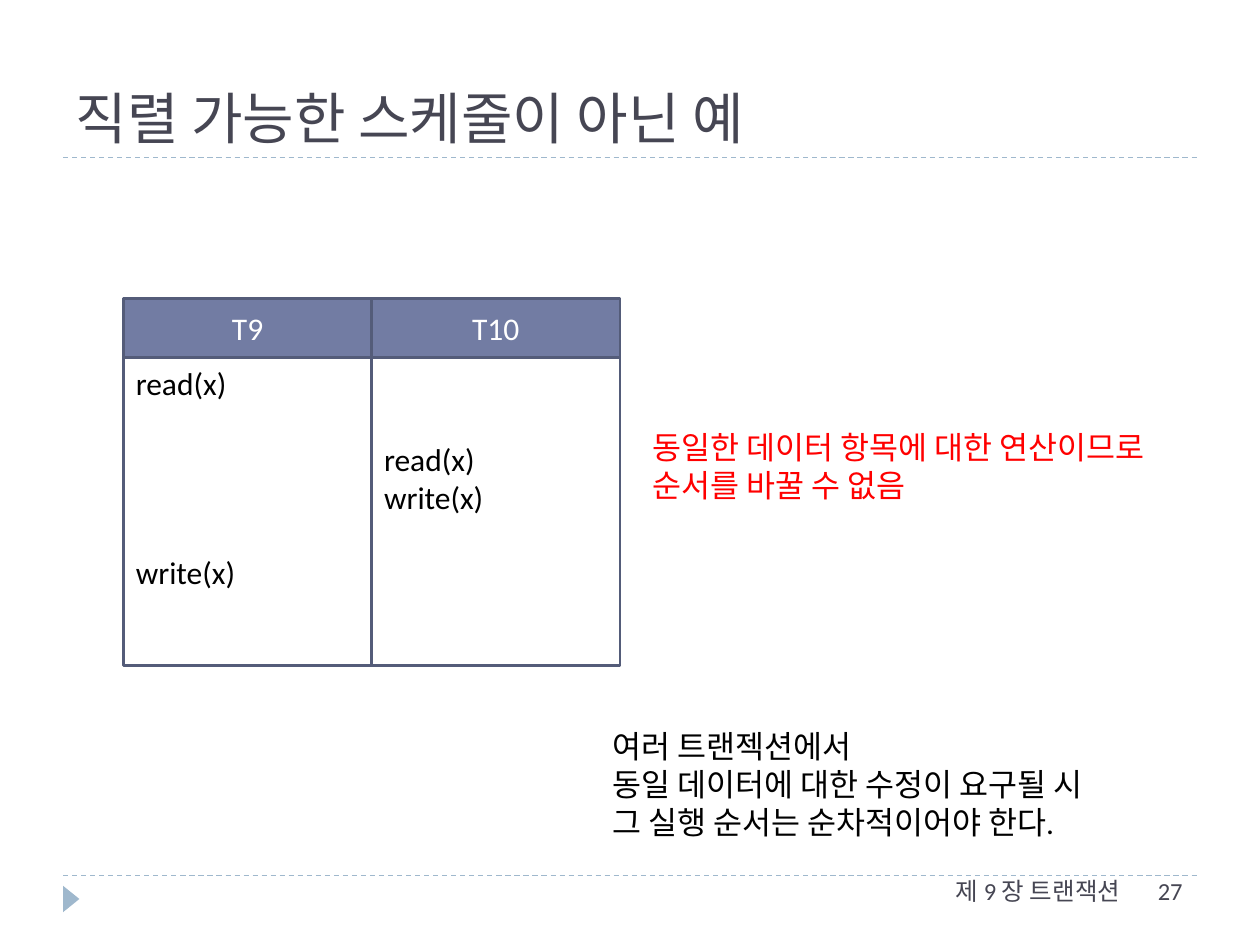
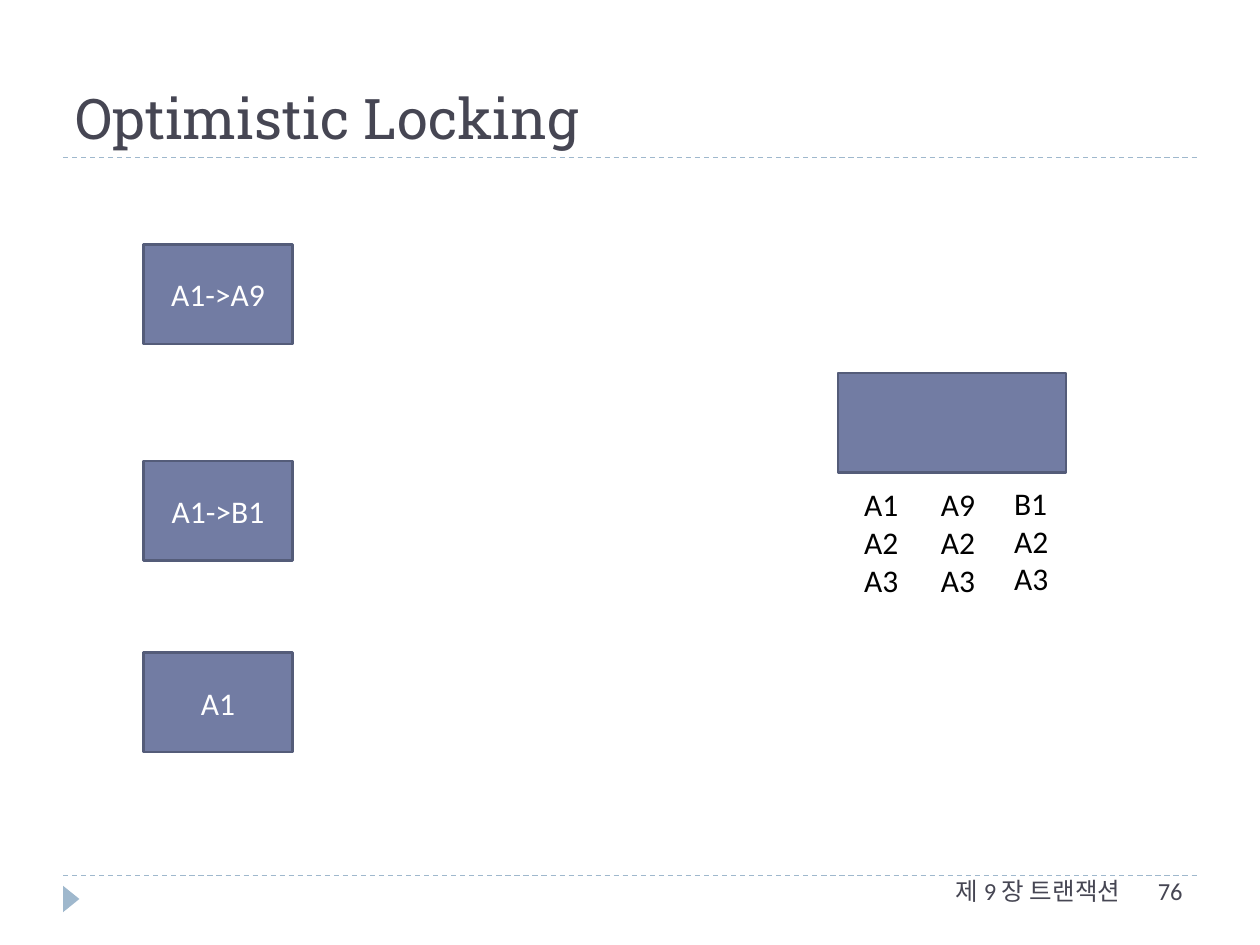
from pptx import Presentation
from pptx.dml.color import RGBColor
from pptx.enum.dml import MSO_LINE
from pptx.enum.shapes import MSO_CONNECTOR, MSO_SHAPE
from pptx.enum.text import MSO_ANCHOR, MSO_AUTO_SIZE, PP_ALIGN
from pptx.oxml.ns import qn
from pptx.util import Inches, Pt
from lxml.etree import SubElement

# Content
CHAPTER = "제 9 장 트랜잭션"
SERIAL = {"title": "직렬 가능한 스케줄이 아닌 예", "font": "Arial", "page": 27}
LOCKING = {"title": "Optimistic Locking", "font": "Roboto Slab", "page": 76}

# Transaction: list of (time step, operation)
SCHEDULE = {
    "T9": [(0, "read(x)"), (5, "write(x)")],
    "T10": [(2, "read(x)"), (3, "write(x)")],
}
REASON = ["동일한 데이터 항목에 대한 연산이므로", "순서를 바꿀 수 없음"]
RULE = ["여러 트랜젝션에서", "동일 데이터에 대한 수정이 요구될 시",
        "그 실행 순서는 순차적이어야 한다."]

CLIENTS = [("A1->A9", 1.94), ("A1->B1", 3.66), ("A1", 5.18)]
VERSIONS = [("A1", 6.76, 3.8), ("A9", 7.37, 3.8), ("B1", 7.95, 3.79)]
OTHERS = ["A2", "A3"]

# Shared style
INK, SKY, BLUE, EDGE = "464653", "9FB8CD", "727CA3", "545C79"
WHITE, BLACK, RED = "FFFFFF", "000000", "FF0000"
BODY = "Calibri"
WIDE, HIGH, EDGE_X = 10, 7.5, 0.5
STEP = 0.3  # height of one text line


def paint(color):
    return RGBColor.from_string(color)


def write(frame, lines, color, size=18, font=BODY, align=PP_ALIGN.LEFT):
    frame.text = "\n".join(lines)
    for para in frame.paragraphs:
        para.alignment = align
        for run in para.runs:
            run.font.size, run.font.name = Pt(size), font
            run.font.color.rgb = paint(color)


def add_text(slide, box, lines, color=BLACK, wrap=False, **style):
    frame = slide.shapes.add_textbox(*map(Inches, box)).text_frame
    write(frame, lines, color, **style)
    frame.word_wrap = wrap
    if not wrap:
        frame.auto_size = MSO_AUTO_SIZE.SHAPE_TO_FIT_TEXT


def add_box(slide, box, fill=BLUE, edge=EDGE, kind=MSO_SHAPE.RECTANGLE):
    shape = slide.shapes.add_shape(kind, *map(Inches, box))
    shape.shadow.inherit = False
    shape.fill.solid()
    shape.fill.fore_color.rgb = paint(fill)
    if edge:
        shape.line.color.rgb = paint(edge)
        shape.line.width = Pt(1.5)
    else:
        shape.line.fill.background()
    return shape


def add_label(slide, box, label):
    frame = add_box(slide, box).text_frame
    frame.vertical_anchor = MSO_ANCHOR.MIDDLE
    write(frame, [label], WHITE, align=PP_ALIGN.CENTER)


def add_rule(slide, y):
    ends = (EDGE_X, y, WIDE - EDGE_X, y)
    line = slide.shapes.add_connector(MSO_CONNECTOR.STRAIGHT, *map(Inches, ends))
    line.line.color.rgb = paint(SKY)
    line.line.width = Pt(0.75)
    line.line.dash_style = MSO_LINE.DASH
    SubElement(line._element.spPr, qn("a:effectLst"))


def add_slide(deck, info):
    slide = deck.slides.add_slide(deck.slide_layouts[5])
    # Rules and corner mark
    for y in (6.95, 1.25):
        add_rule(slide, y)
    mark = add_box(slide, (0.46, 7.07, 0.21, 0.13), SKY, None,
                   MSO_SHAPE.ISOSCELES_TRIANGLE)
    mark.rotation = 90
    # Title
    title = slide.shapes.title
    title.left, title.top, title.width, title.height = map(
        Inches, (EDGE_X, 0.17, WIDE - 2 * EDGE_X, 1.08))
    title.text_frame.vertical_anchor = MSO_ANCHOR.BOTTOM
    write(title.text_frame, [info["title"]], INK, 32, info["font"])
    # Footer
    add_text(slide, (5.19, 6.9, 3.8, 0.4), [CHAPTER], INK, True,
             size=14, align=PP_ALIGN.RIGHT)
    add_text(slide, (9.09, 6.9, 0.71, 0.4), [str(info["page"])], INK, True,
             size=14)
    return slide


def add_schedule(slide, left=0.98, top=2.37, wide=1.97, head=0.47, deep=2.44):
    for col, (name, steps) in enumerate(SCHEDULE.items()):
        x = left + col * wide
        add_label(slide, (x, top, wide, head), name)
        frame = add_box(slide, (x, top + head, wide, deep), WHITE).text_frame
        frame.vertical_anchor = MSO_ANCHOR.TOP
        write(frame, [text for _, text in steps], BLACK)
        # Idle steps become the top inset or space between operations
        frame.margin_top = Inches(0.05 + steps[0][0] * STEP)
        for para, (last, _), (now, _) in zip(
                frame.paragraphs[1:], steps, steps[1:]):
            para.space_before = Inches((now - last - 1) * STEP)


def main():
    deck = Presentation()
    deck.slide_width, deck.slide_height = Inches(WIDE), Inches(HIGH)

    # Schedule that cannot be serialised
    slide = add_slide(deck, SERIAL)
    add_schedule(slide)
    add_text(slide, (5.08, 3.35, 4.52, 0.71), REASON, RED)
    add_text(slide, (4.76, 5.72, 4.34, 1.01), RULE)

    # Clients, data store and its versions
    slide = add_slide(deck, LOCKING)
    for label, y in CLIENTS:
        add_label(slide, (1.14, y, 1.18, 0.79), label)
    add_box(slide, (6.65, 2.96, 1.81, 0.79))
    for first, x, y in VERSIONS:
        add_text(slide, (x, y, 0.5, 1.01), [first] + OTHERS)

    deck.save("out.pptx")


if __name__ == "__main__":
    main()
